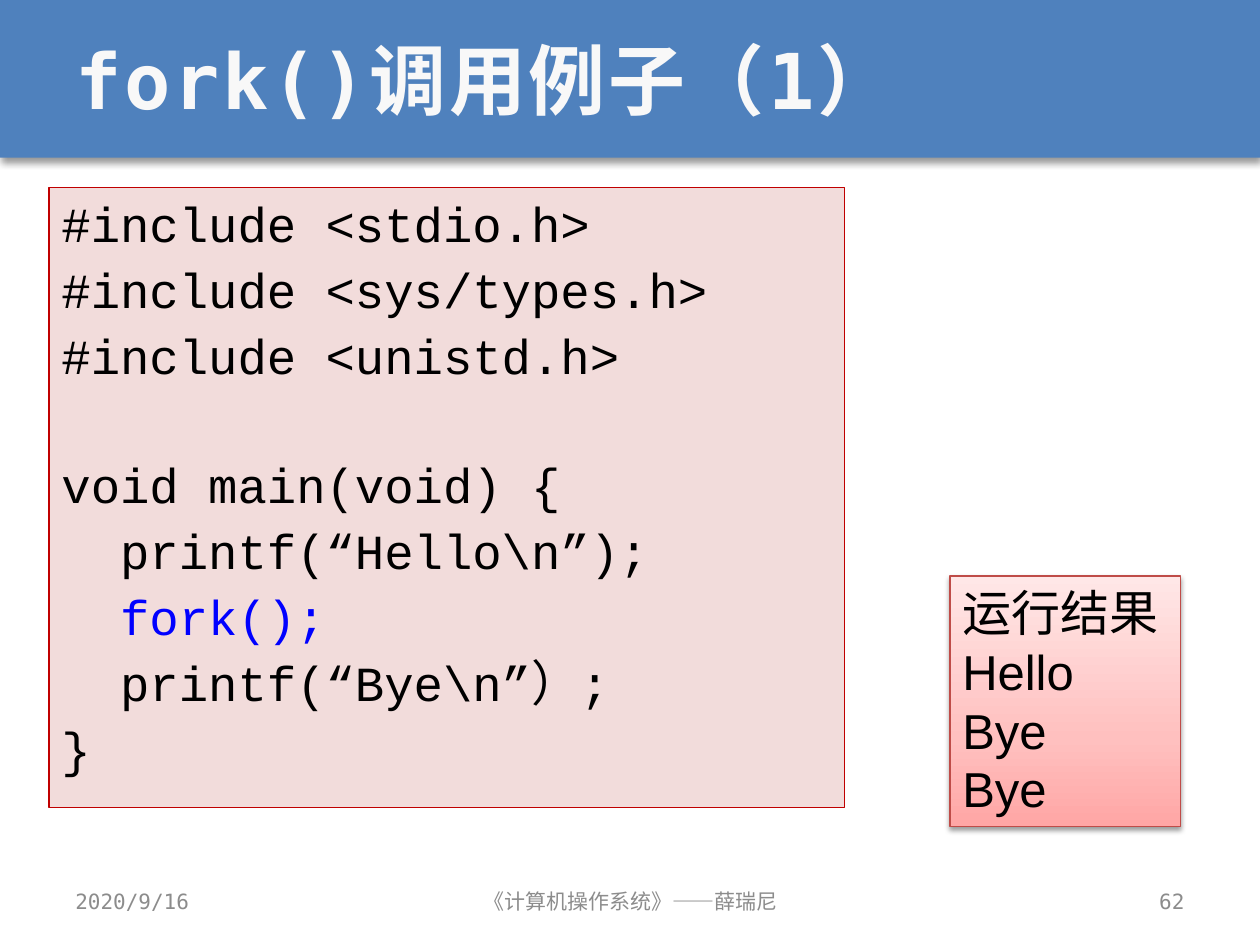
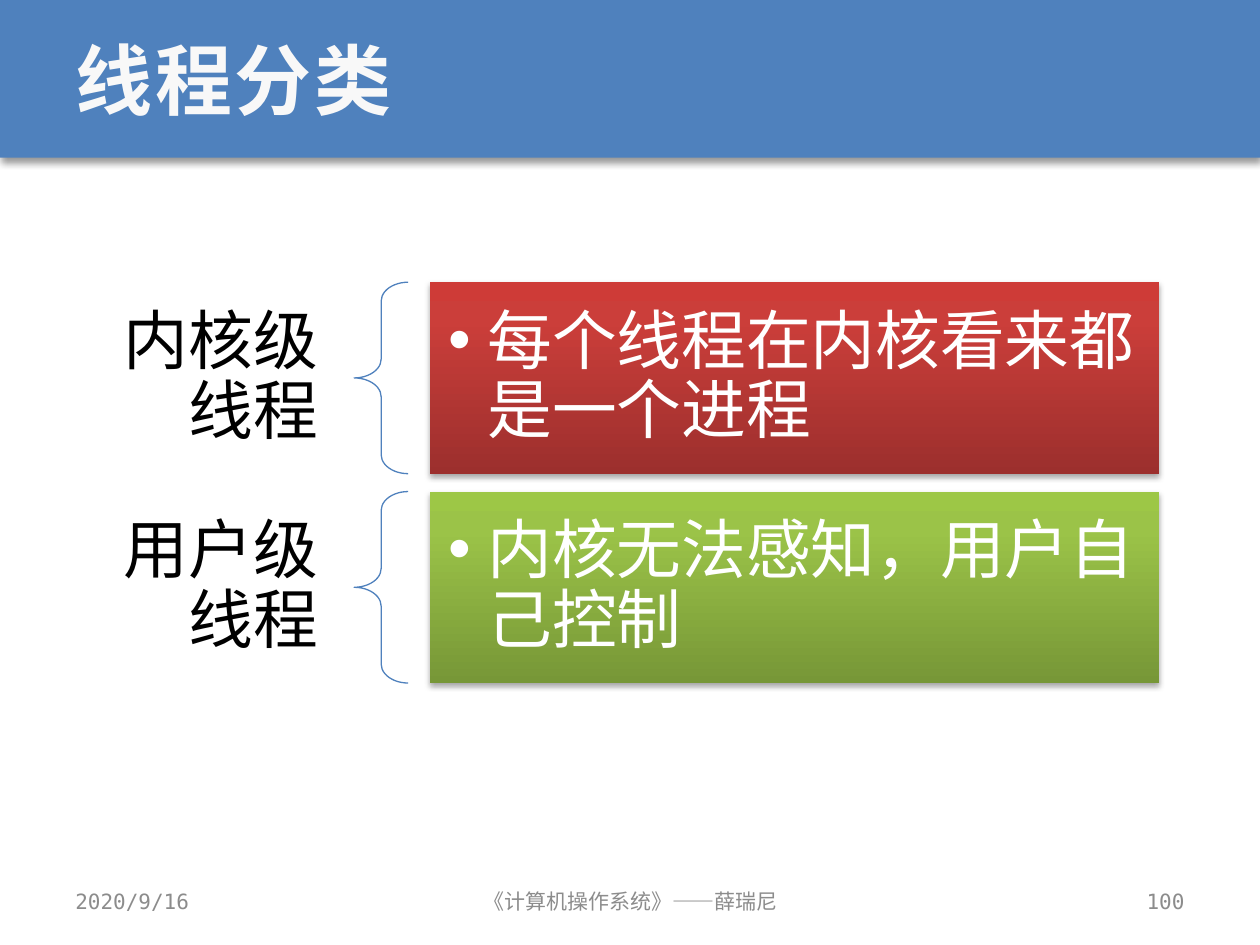
from copy import deepcopy
from dataclasses import dataclass

from lxml.etree import SubElement
from pptx import Presentation
from pptx.dml.color import RGBColor
from pptx.enum.lang import MSO_LANGUAGE_ID
from pptx.enum.shapes import MSO_SHAPE
from pptx.enum.text import MSO_ANCHOR, MSO_AUTO_SIZE, PP_ALIGN
from pptx.oxml.ns import qn
from pptx.util import Cm, Pt


@dataclass(frozen=True)
class Theme:
    blue: str = "4F81BD"
    title_text: str = "F8F8F8"
    footer_text: str = "8C8C8C"
    black: str = "000000"
    white: str = "FFFFFF"
    code_fill: str = "F2DCDB"
    code_line: str = "C00000"
    code_highlight: str = "0000FF"
    result_line: str = "BF4C48"
    result_gradient: tuple = ((0, "FFA6A5"), (35, "FFC0BF"), (100, "FFE7E7"))
    red_gradient: tuple = ((0, "9C2F2D"), (80, "CB3E3A"), (100, "CE3B37"))
    green_gradient: tuple = ((0, "779737"), (80, "9BC348"), (100, "9DC746"))
    band_shadow: tuple = (40, 4, 3)
    result_shadow: tuple = (38, 3.1, 1.6)
    box_shadow: tuple = (35, 3.1, 1.8)
    mono: str = "DejaVu Sans Mono"
    code_font: str = "Courier New"
    sans: str = "Arial"
    title_size: float = 44
    body_size: float = 28
    diagram_size: float = 37
    footer_size: float = 12
    hairline: float = 0.75


theme = Theme()


def write_text(frame, text, font, size, color, bold=False, align=PP_ALIGN.LEFT,
               anchor=MSO_ANCHOR.MIDDLE, margins=(0.25, 0.13), letter_spacing=None,
               line_spacing=None, space_before=0, space_after=0, hanging=None,
               bullet=None, line_colors=None, line_gaps=None):
    frame.word_wrap = True
    frame.auto_size = MSO_AUTO_SIZE.NONE
    frame.vertical_anchor = anchor
    frame.margin_left = frame.margin_right = Cm(margins[0])
    frame.margin_top = frame.margin_bottom = Cm(margins[1])
    for index, line in enumerate(text.split("\n")):
        paragraph = frame.add_paragraph() if index else frame.paragraphs[0]
        properties = paragraph._p.get_or_add_pPr()
        if hanging:
            properties.set("marL", str(Cm(hanging)))
            properties.set("indent", str(-Cm(hanging)))
        if bullet:
            SubElement(properties, qn("a:buFont"), typeface=font)
            SubElement(properties, qn("a:buChar"), char=bullet)
        paragraph.alignment = align
        paragraph.line_spacing = line_spacing
        paragraph.space_before = Pt((line_gaps or {}).get(index, space_before) if index else 0)
        paragraph.space_after = Pt(space_after)
        run = paragraph.add_run()
        run.text = line
        run.font.name = font
        run.font.size = Pt(size)
        run.font.bold = bold
        run.font.language_id = MSO_LANGUAGE_ID.SIMPLIFIED_CHINESE
        run.font.color.rgb = RGBColor.from_string((line_colors or {}).get(index, color))
        if letter_spacing:
            run._r.get_or_add_rPr().set("spc", str(int(letter_spacing * 100)))


def add_panel(slide, kind, left, top, width, height, fill=None, gradient=None,
              line=None, shadow=None):
    shape = slide.shapes.add_shape(kind, Cm(left), Cm(top), Cm(width), Cm(height))
    shape.shadow.inherit = False
    if gradient:
        shape.fill.gradient()
        shape.fill.gradient_angle = 90
        stop_list = shape.element.find(".//" + qn("a:gsLst"))
        stop_list.append(deepcopy(stop_list[0]))
        for stop, (position, color) in zip(shape.fill.gradient_stops, gradient):
            stop.position = position / 100
            stop.color.rgb = RGBColor.from_string(color)
    elif fill:
        shape.fill.solid()
        shape.fill.fore_color.rgb = RGBColor.from_string(fill)
    else:
        shape.fill.background()
    if line:
        shape.line.color.rgb = RGBColor.from_string(line)
        shape.line.width = Pt(theme.hairline)
    else:
        shape.line.fill.background()
    if shadow:
        opacity, blur, distance = shadow
        effects = shape.element.spPr.find(qn("a:effectLst"))
        outer = SubElement(effects, qn("a:outerShdw"), blurRad=str(Pt(blur)),
                           dist=str(Pt(distance)), dir="5400000", rotWithShape="0")
        shadow_color = SubElement(outer, qn("a:srgbClr"), val=theme.black)
        SubElement(shadow_color, qn("a:alpha"), val=str(opacity * 1000))
    return shape


presentation = Presentation()
presentation.slide_width = Cm(25.4)
presentation.slide_height = Cm(19.05)
title_layout = presentation.slide_layouts[5]

slides = []
for title_text, number in (("fork()调用例子（1）", "62"), ("线程分类", "100")):
    slide = presentation.slides.add_slide(title_layout)
    slides.append(slide)
    title = slide.shapes.title
    title.left, title.top, title.width, title.height = Cm(1.27), Cm(0), Cm(22.86), Cm(3.18)
    write_text(title.text_frame, title_text, theme.mono, theme.title_size,
               theme.title_text, bold=True, letter_spacing=1.5)
    for left, width, footer, align in (
        (1.27, 5.92, "2020/9/16", PP_ALIGN.LEFT),
        (8.69, 8.05, "《计算机操作系统》——薛瑞尼", PP_ALIGN.CENTER),
        (18.21, 5.92, number, PP_ALIGN.RIGHT),
    ):
        footer_box = slide.shapes.add_textbox(Cm(left), Cm(17.65), Cm(width), Cm(1.02))
        write_text(footer_box.text_frame, footer, theme.mono, theme.footer_size,
                   theme.footer_text, align=align)

fork_slide, thread_slide = slides

band = add_panel(fork_slide, MSO_SHAPE.RECTANGLE, 0, 0, 25.4, 3.18,
                 fill=theme.blue, shadow=theme.band_shadow)
title_layout.shapes.element.insert(2, band.element)

code = """#include <stdio.h>
#include <sys/types.h>
#include <unistd.h>
void main(void) {
  printf(“Hello\\n”);
  fork();
  printf(“Bye\\n”）;
}"""
code_box = add_panel(fork_slide, MSO_SHAPE.RECTANGLE, 0.99, 3.78, 16.03, 12.5,
                     fill=theme.code_fill, line=theme.code_line)
write_text(code_box.text_frame, code, theme.code_font, theme.body_size, theme.black,
           anchor=MSO_ANCHOR.TOP, margins=(0.25, 0.25), hanging=0.97,
           line_spacing=0.9, space_before=7.5, line_gaps={3: 43.5},
           line_colors={5: theme.code_highlight})

result_box = add_panel(fork_slide, MSO_SHAPE.RECTANGLE, 19.15, 11.61, 4.65, 5.05,
                       gradient=theme.result_gradient, line=theme.result_line,
                       shadow=theme.result_shadow)
write_text(result_box.text_frame, "运行结果\nHello\nBye\nBye", theme.sans,
           theme.body_size, theme.black, anchor=MSO_ANCHOR.TOP)

row_height, row_gap = 3.86, 0.36
thread_kinds = (
    ("内核级线程", "每个线程在内核看来都是一个进程", theme.red_gradient),
    ("用户级线程", "内核无法感知，用户自己控制", theme.green_gradient),
)
for row, (kind, description, gradient) in enumerate(thread_kinds):
    top = 5.69 + row * (row_height + row_gap)
    label = thread_slide.shapes.add_textbox(Cm(1.73), Cm(top + 0.12), Cm(5.41), Cm(3.63))
    write_text(label.text_frame, kind, theme.sans, theme.diagram_size, theme.black,
               align=PP_ALIGN.RIGHT, margins=(0.73, 0.25), line_spacing=0.9)
    brace = add_panel(thread_slide, MSO_SHAPE.LEFT_BRACE, 7.14, top, 1.09, row_height,
                      line=theme.blue)
    brace.adjustments[0] = 0.35
    description_box = add_panel(thread_slide, MSO_SHAPE.RECTANGLE, 8.66, top, 14.71,
                                row_height, gradient=gradient, shadow=theme.box_shadow)
    write_text(description_box.text_frame, description, theme.sans, theme.diagram_size,
               theme.white, margins=(0.38, 0.38), hanging=0.79, bullet="•",
               line_spacing=0.9, space_after=5.5)

presentation.save("out.pptx")
